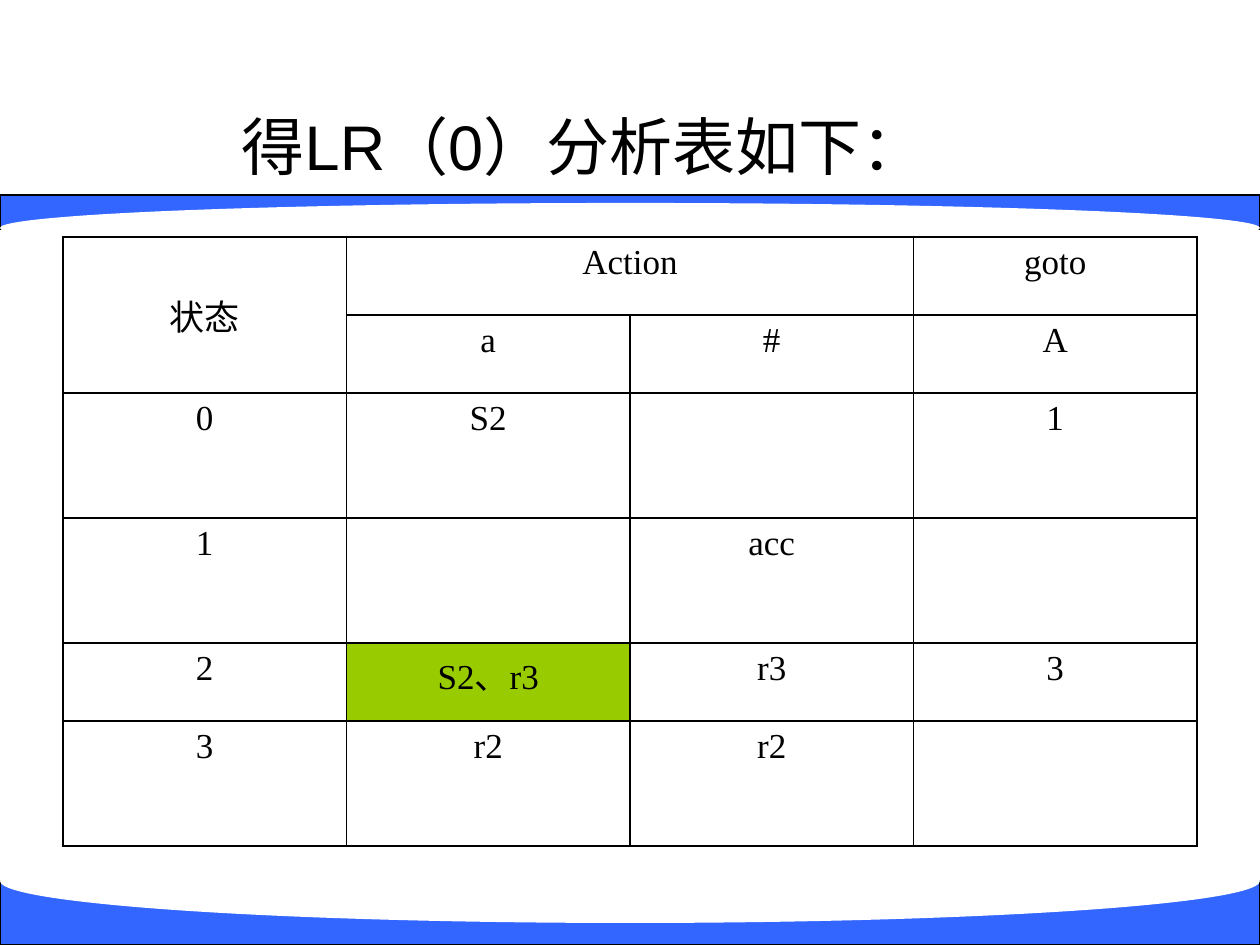
from lxml import etree
from pptx import Presentation
from pptx import util as u
from pptx.dml.color import RGBColor
from pptx.enum import shapes, text
from pptx.oxml.ns import qn

PX = 914400 / 126
COLORS = {"ink": "000000", "band": "3366FF", "paper": "FFFFFF", "conflict": "99CC00"}
ROW_HEIGHTS = [78, 78, 125, 125, 78, 125]
ROWS = [
    ["状态", "Action", "", "goto"],
    ["", "a", "#", "A"],
    ["0", "S2", "", "1"],
    ["1", "", "acc", ""],
    ["2", "S2、r3", "r3", "3"],
    ["3", "r2", "r2", ""],
]
CONFLICT_CELL = (4, 1)


def px(value):
    return u.Emu(round(value * PX))


def color(name):
    return RGBColor.from_string(COLORS[name])


def format_paragraph(paragraph, font_name, size):
    paragraph.alignment = text.PP_ALIGN.CENTER
    paragraph.font.name = font_name
    paragraph.font.size = u.Pt(size)
    paragraph.font.color.rgb = color("ink")


def add_filled_shape(slide, kind, box, fill, outlined):
    shape = slide.shapes.add_shape(kind, *map(px, box))
    shape.shadow.inherit = False
    shape.fill.solid()
    shape.fill.fore_color.rgb = color(fill)
    if outlined:
        shape.line.color.rgb = color("ink")
        shape.line.width = u.Pt(0.75)
    else:
        shape.line.fill.background()


def add_curved_band(slide, box, curve_offset, curve_height):
    """A blue band with a white ellipse cut across it."""
    left, top, width, _ = box
    curve = (left, top + curve_offset, width, curve_height)
    add_filled_shape(slide, shapes.MSO_SHAPE.RECTANGLE, box, "band", True)
    add_filled_shape(slide, shapes.MSO_SHAPE.OVAL, curve, "paper", False)


def place_title(slide, box):
    title = slide.shapes.title
    title.left, title.top, title.width, title.height = map(px, box)
    frame = title.text_frame
    frame.text = "得LR（0）分析表如下："
    frame.auto_size = text.MSO_AUTO_SIZE.NONE
    frame.vertical_anchor = text.MSO_ANCHOR.MIDDLE
    format_paragraph(frame.paragraphs[0], "Arial", 36)


def add_borders(cell):
    properties = cell._tc.get_or_add_tcPr()
    for side in ("a:lnL", "a:lnR", "a:lnT", "a:lnB"):
        line = etree.SubElement(properties, qn(side), w=str(u.Pt(1)))
        fill = etree.SubElement(line, qn("a:solidFill"))
        etree.SubElement(fill, qn("a:srgbClr"), val=COLORS["ink"])


def format_cell(cell, content, highlighted):
    add_borders(cell)
    if highlighted:
        cell.fill.solid()
        cell.fill.fore_color.rgb = color("conflict")
    else:
        cell.fill.background()
    cell.text = content
    paragraph = cell.text_frame.paragraphs[0]
    indent = px(48)
    properties = paragraph._p.get_or_add_pPr()
    properties.set("marL", str(indent))
    properties.set("indent", str(-indent))
    format_paragraph(paragraph, "Times New Roman", 20)


def add_parsing_table(slide, box):
    frame = slide.shapes.add_table(len(ROWS), len(ROWS[0]), *map(px, box))
    table = frame.table
    table.first_row = table.horz_banding = False
    for column in table.columns:
        column.width = px(box[2] / len(ROWS[0]))
    for row, height in zip(table.rows, ROW_HEIGHTS):
        row.height = px(height)
    for i, row in enumerate(ROWS):
        for j, content in enumerate(row):
            format_cell(table.cell(i, j), content, (i, j) == CONFLICT_CELL)

    # Header spans
    table.cell(0, 0).merge(table.cell(1, 0))
    table.cell(0, 1).merge(table.cell(0, 2))
    table.cell(0, 0).vertical_anchor = text.MSO_ANCHOR.MIDDLE


def main():
    presentation = Presentation()
    presentation.slide_width, presentation.slide_height = px(1260), px(945)
    slide = presentation.slides.add_slide(presentation.slide_layouts[5])
    slide.background.fill.solid()
    slide.background.fill.fore_color.rgb = color("paper")

    # Curved bands above and below the table
    add_curved_band(slide, (0, 195, 1260, 34), 8, 50)
    add_curved_band(slide, (0, 881, 1260, 64), -42, 84)

    place_title(slide, (63, 96, 1040, 99))
    add_parsing_table(slide, (63, 237, 1134, sum(ROW_HEIGHTS)))
    presentation.save("out.pptx")


if __name__ == "__main__":
    main()
